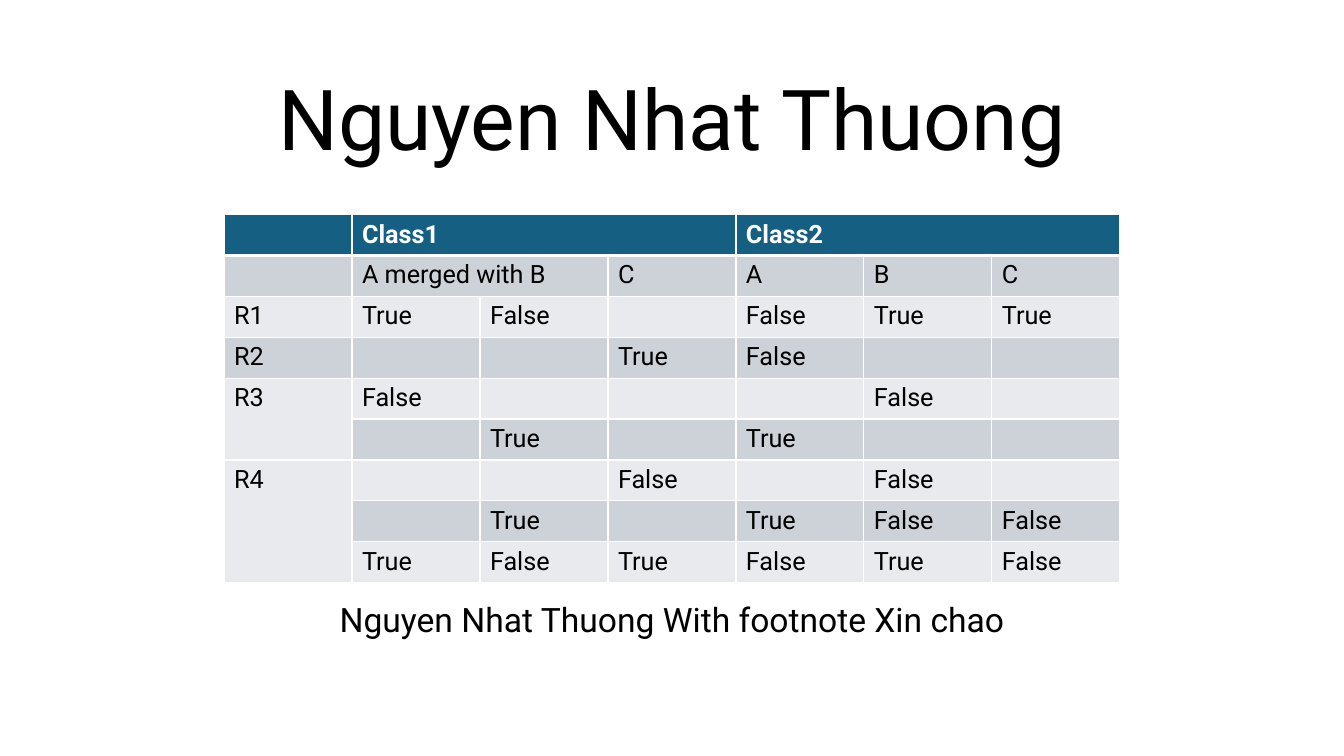
from dataclasses import dataclass

from lxml import etree
from pptx import Presentation
from pptx import util as u
from pptx.dml.color import RGBColor
from pptx.enum import text
from pptx.oxml.ns import qn


@dataclass(frozen=True)
class Theme:
    font: str = "Roboto"
    ink: str = "000000"
    paper: str = "FFFFFF"
    header: str = "156082"
    bands: tuple = ("CCD2D8", "E8EAED")
    title_size: int = 60
    note_size: int = 24
    table_size: int = 18
    rule: int = 1
    header_rule: int = 3


ROWS = [
    ["", "Class1", "", "", "Class2", "", ""],
    ["", "A merged with B", "", "C", "A", "B", "C"],
    ["R1", "True", "False", "", "False", "True", "True"],
    ["R2", "", "", "True", "False", "", ""],
    ["R3", "False", "", "", "", "False", ""],
    ["", "", "True", "", "True", "", ""],
    ["R4", "", "", "False", "", "False", ""],
    ["", "", "True", "", "True", "False", "False"],
    ["", "True", "False", "True", "False", "True", "False"],
]
# First and last (row, column) of each merged block
MERGES = [((0, 1), (0, 3)), ((0, 4), (0, 6)), ((1, 1), (1, 2)),
          ((4, 0), (5, 0)), ((6, 0), (8, 0))]


class Deck:
    """Draws on the current slide; boxes are (left, top, width, height) shares of it."""

    def __init__(self, theme):
        self.theme = theme
        self.prs = Presentation()
        self.prs.slide_width = u.Inches(13.33)
        self.prs.slide_height = u.Inches(7.5)
        self.s = self.prs.slides.add_slide(self.prs.slide_layouts[6])

    def place(self, box):
        w, h = self.prs.slide_width, self.prs.slide_height
        return [round(share * side) for share, side in zip(box, (w, h, w, h))]

    def style(self, p, size, color, bold=False):
        for r in p.runs:
            r.font.name = self.theme.font
            r.font.size = u.Pt(size)
            r.font.bold = bold
            r.font.color.rgb = RGBColor.from_string(color)

    def line_of_text(self, words, box, size, anchor, space_before=0):
        tf = self.s.shapes.add_textbox(*self.place(box)).text_frame
        tf.word_wrap = True
        tf.vertical_anchor = anchor
        tf.text = words
        p = tf.paragraphs[0]
        p.alignment = text.PP_ALIGN.CENTER
        p.line_spacing = 0.9
        p.space_before = u.Pt(space_before)
        self.style(p, size, self.theme.ink)

    def borders(self, cell, row):
        tc_pr = cell._tc.get_or_add_tcPr()
        for side in "LRTB":
            thick = (row, side) in ((0, "B"), (1, "T"))
            width = self.theme.header_rule if thick else self.theme.rule
            ln = etree.SubElement(tc_pr, qn(f"a:ln{side}"), w=str(u.Pt(width)))
            fill = etree.SubElement(ln, qn("a:solidFill"))
            etree.SubElement(fill, qn("a:srgbClr"), val=self.theme.paper)

    def table(self, rows, merges, box):
        t = self.theme
        left, top, width, height = self.place(box)
        table = self.s.shapes.add_table(
            len(rows), len(rows[0]), left, top, width, height).table
        for i, row in enumerate(rows):
            header = i == 0
            for j, words in enumerate(row):
                cell = table.cell(i, j)
                self.borders(cell, i)
                cell.fill.solid()
                cell.fill.fore_color.rgb = RGBColor.from_string(
                    t.header if header else t.bands[(i - 1) % 2])
                if words:
                    cell.text = words
                    self.style(cell.text_frame.paragraphs[0], t.table_size,
                               t.paper if header else t.ink, header)
        for first, last in merges:
            table.cell(*first).merge(table.cell(*last))


def main():
    theme = Theme()
    deck = Deck(theme)
    deck.line_of_text("Nguyen Nhat Thuong", (1 / 8, 0.093, 3 / 4, 0.136),
                      theme.title_size, text.MSO_ANCHOR.BOTTOM)
    deck.line_of_text("Nguyen Nhat Thuong With footnote Xin chao",
                      (1 / 8, 0.792, 3 / 4, 0.067),
                      theme.note_size, text.MSO_ANCHOR.TOP, space_before=10)
    deck.table(ROWS, MERGES, (1 / 6, 0.284, 2 / 3, 0.487))
    deck.prs.save("out.pptx")


if __name__ == "__main__":
    main()
